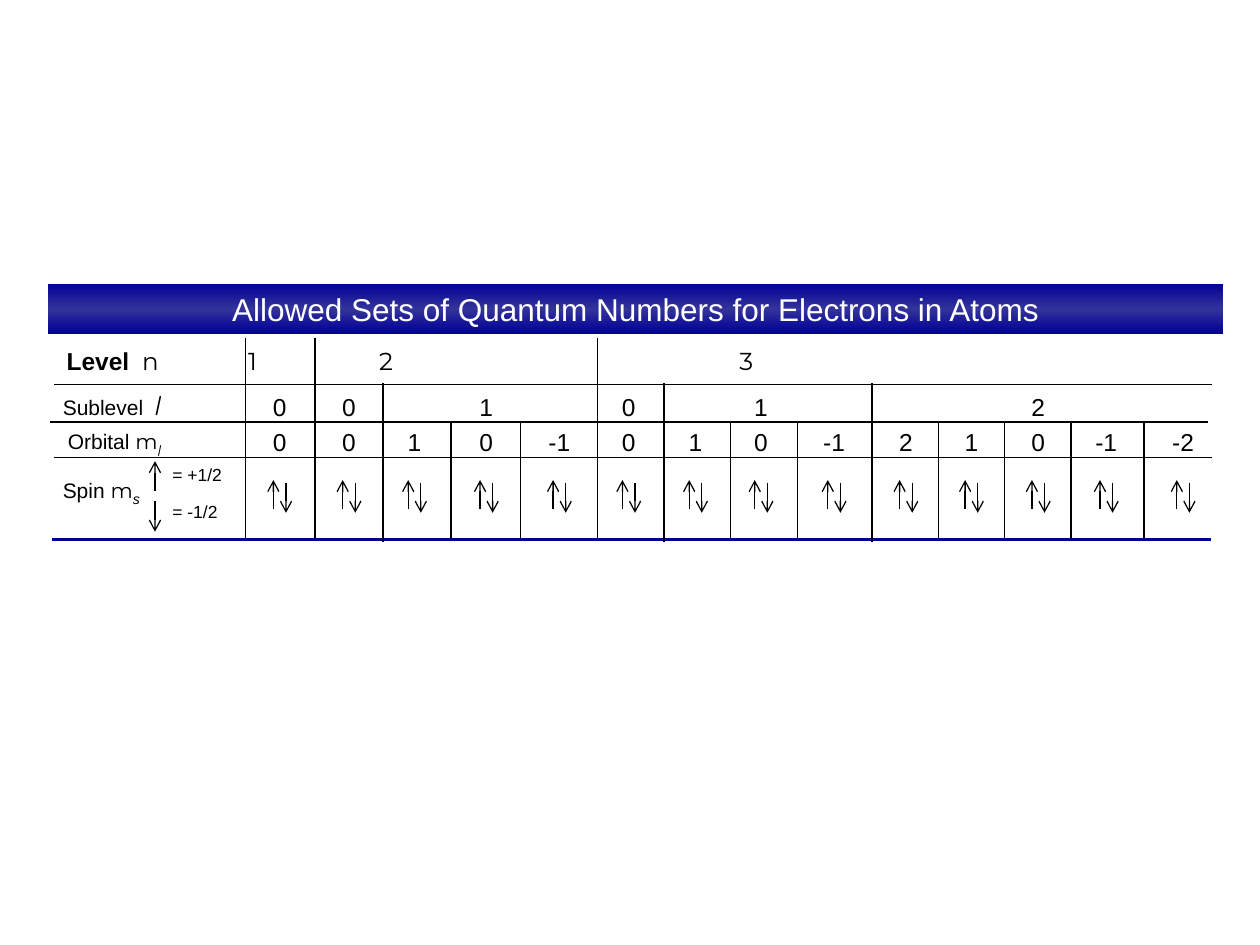
from copy import deepcopy
from dataclasses import dataclass

from lxml import etree
from pptx import Presentation
from pptx.dml.color import RGBColor
from pptx.enum.shapes import MSO_CONNECTOR as Connector
from pptx.enum.text import MSO_ANCHOR as Anchor, MSO_AUTO_SIZE as AutoSize, PP_ALIGN as Align
from pptx.oxml.ns import qn
from pptx.slide import Slide
from pptx.util import Inches, Pt

COLORS = {"ink": "000000", "navy": "000099", "indigo": "333399", "white": "FFFFFF"}
SANS, SYMBOL, SCRIPT = "Arial", "Montserrat", "Comic Neue"


def rgb(name):
    return RGBColor.from_string(COLORS[name])


@dataclass
class QuantumChart:
    slide: Slide
    thin: float = 0.75

    def banner(self, text, left, top, width, height):
        title = self.slide.shapes.title
        title.left, title.top = Inches(left), Inches(top)
        title.width, title.height = Inches(width), Inches(height)
        title.fill.gradient()
        title.fill.gradient_angle = 270
        stops = title._element.spPr.find(".//" + qn("a:gsLst"))
        stops.insert(0, deepcopy(stops[0]))
        shades = ((0, "navy"), (0.5, "indigo"), (1, "navy"))
        for stop, (position, shade) in zip(title.fill.gradient_stops, shades):
            stop.position = position
            stop.color.rgb = rgb(shade)
        frame = title.text_frame
        frame.text = text
        frame.auto_size = AutoSize.NONE
        frame.vertical_anchor = Anchor.MIDDLE
        heading = frame.paragraphs[0]
        heading.alignment = Align.CENTER
        heading.font.name, heading.font.size = SANS, Pt(18)
        heading.font.color.rgb = rgb("white")

    def line(self, x1, y1, x2, y2, color="ink", width=None, arrow=False):
        rule = self.slide.shapes.add_connector(
            Connector.STRAIGHT, Inches(x1), Inches(y1), Inches(x2), Inches(y2))
        rule.line.color.rgb = rgb(color)
        rule.line.width = Pt(width or self.thin)
        if arrow:
            etree.SubElement(rule.line._get_or_add_ln(), qn("a:tailEnd"), type="arrow")
        etree.SubElement(rule._element.spPr, qn("a:effectLst"))

    def paragraph(self, left, top, width, height):
        box = self.slide.shapes.add_textbox(
            Inches(left), Inches(top), Inches(width), Inches(height))
        box.text_frame.word_wrap = True
        return box.text_frame.paragraphs[0]

    def text(self, words, left, top, width, height, size, align=Align.LEFT):
        entry = self.paragraph(left, top, width, height)
        entry.text = words
        entry.alignment = align
        entry.font.name, entry.font.size = SANS, Pt(size)
        entry.font.color.rgb = rgb("ink")

    def number(self, value, center, top):
        self.text(value, center - 0.25, top, 0.5, 0.33, 14, Align.CENTER)

    def label(self, parts, left, top, width, height, tabs=()):
        """Parts are (text, font, size, style); style is "", "b", "i" or "sub"."""
        entry = self.paragraph(left, top, width, height)
        if tabs:
            tab_list = etree.SubElement(entry._p.get_or_add_pPr(), qn("a:tabLst"))
            for stop in tabs:
                etree.SubElement(tab_list, qn("a:tab"), pos=str(Inches(stop)), algn="l")
        entry.font.color.rgb = rgb("ink")
        for words, font, size, style in parts:
            run = entry.add_run()
            run.text = words
            run.font.name, run.font.size = font, Pt(size)
            run.font.bold = style == "b"
            run.font.italic = style in ("i", "sub")
            run.font.color.rgb = rgb("ink")
            if style == "sub":
                run._r.get_or_add_rPr().set("baseline", "-25000")

    def spin_pair(self, center):
        self.line(center - 0.05, 4.04, center - 0.05, 3.81, arrow=True)
        self.line(center + 0.05, 3.83, center + 0.05, 4.07, arrow=True)


def main():
    prs = Presentation()
    prs.slide_width, prs.slide_height = Inches(10), Inches(7.5)
    chart = QuantumChart(prs.slides.add_slide(prs.slide_layouts[5]))

    chart.banner("Allowed Sets of Quantum Numbers for Electrons in Atoms",
                 0.38, 2.25, 9.33, 0.4)

    # Row rules and the heavier bottom rule
    for left, y in ((0.43, 3.05), (0.4, 3.35), (0.43, 3.63)):
        chart.line(left, y, left + 9.19, y)
    chart.line(0.41, 4.28, 9.61, 4.28, color="navy", width=1.5)

    # Dividers between levels, sublevels and orbitals
    dividers = (
        (2.68, 4.27, (1.95, 2.5, 4.74)),
        (3.04, 4.3, (3.04, 5.27, 6.92)),
        (3.35, 4.28, (3.58, 4.13, 5.8, 6.33, 7.45, 7.97, 8.5, 9.08)),
    )
    for top, bottom, columns in dividers:
        for x in columns:
            chart.line(x, top, x, bottom)

    # Row labels; the level numbers stand on tab stops
    chart.label([("Level", SANS, 14, "b"), ("\tn\t1\t2\t3", SYMBOL, 14, "")],
                0.43, 2.7, 6.91, 0.33, tabs=(0.6, 1.44, 2.48, 5.34))
    chart.label([("Sublevel\t", SANS, 12, ""), ("l", SCRIPT, 16, "i")],
                0.4, 3.03, 1.11, 0.37, tabs=(0.73,))
    chart.label([("Orbital ", SANS, 12, ""), ("m", SYMBOL, 12, ""), ("l", SCRIPT, 16, "sub")],
                0.44, 3.3, 1.06, 0.37)
    chart.label([("Spin ", SANS, 12, ""), ("m", SYMBOL, 12, ""), ("s", SANS, 14, "sub")],
                0.4, 3.71, 0.93, 0.37)

    # Key to the spin arrows
    chart.line(1.23, 3.9, 1.23, 3.66, arrow=True)
    chart.line(1.23, 3.98, 1.23, 4.22, arrow=True)
    for spin, top in (("= +1/2", 3.63), ("= -1/2", 3.93)):
        chart.text(spin, 1.27, top, 0.65, 0.27, 10)

    # Each sublevel number sits above its middle orbital, m = 0
    sublevels = (
        (0, (2.22,)),
        (0, (2.77,)),
        (1, (3.29, 3.86, 4.44)),
        (0, (4.99,)),
        (1, (5.52, 6.04, 6.62)),
        (2, (7.19, 7.71, 8.24, 8.78, 9.39)),
    )
    for sublevel, centers in sublevels:
        chart.number(str(sublevel), centers[sublevel], 3.06)
        for index, center in enumerate(centers):
            chart.number(str(sublevel - index), center, 3.34)
            chart.spin_pair(center)

    prs.save("out.pptx")


if __name__ == "__main__":
    main()
